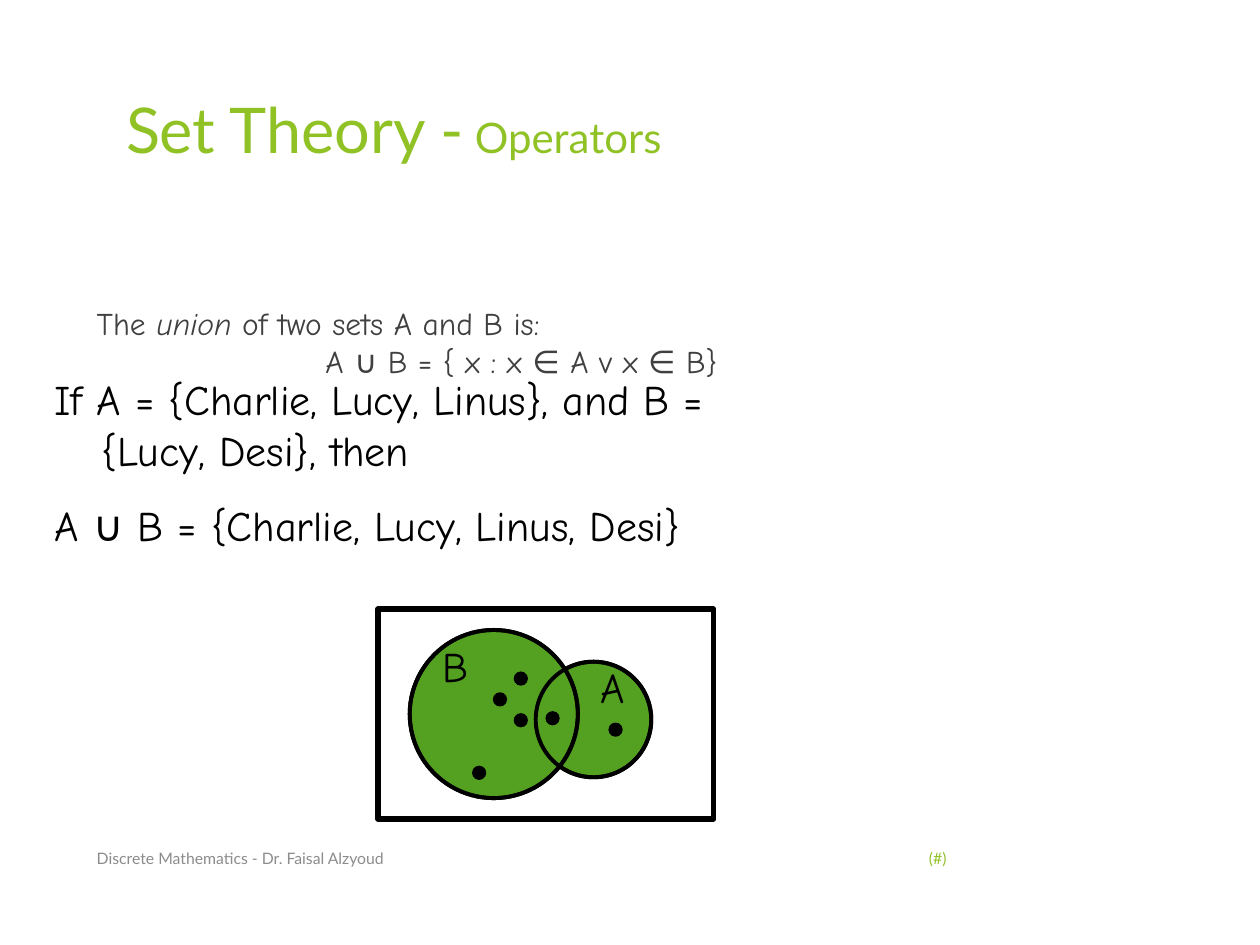
from dataclasses import dataclass

from pptx import Presentation
from pptx.dml.color import RGBColor
from pptx.enum.shapes import MSO_SHAPE
from pptx.enum.text import MSO_ANCHOR, PP_ALIGN
from pptx.util import Cm, Pt

OVAL, RECTANGLE = MSO_SHAPE.OVAL, MSO_SHAPE.RECTANGLE
TOP, MIDDLE = MSO_ANCHOR.TOP, MSO_ANCHOR.MIDDLE
LEFT, CENTER, RIGHT = PP_ALIGN.LEFT, PP_ALIGN.CENTER, PP_ALIGN.RIGHT


@dataclass(frozen=True)
class Theme:
    accent: str = "90C226"
    set_fill: str = "54A021"
    ink: str = "000000"
    body: str = "404040"
    muted: str = "8C8C8C"
    heading_font: str = "Lato"
    text_font: str = "Comic Neue"
    title_size: int = 36
    large_size: int = 24
    body_size: int = 18
    footer_size: int = 9
    hanging: float = 0.95


@dataclass(frozen=True)
class Box:
    left: float
    top: float
    width: float
    height: float

    def lengths(self):
        return Cm(self.left), Cm(self.top), Cm(self.width), Cm(self.height)


@dataclass(frozen=True)
class VennSet:
    name: str
    circle: Box
    label: Box


THEME = Theme()
UNIVERSE = Box(7.62, 12.28, 6.77, 4.23)
SET_A = VennSet("A", Box(10.8, 13.34, 2.33, 2.33), Box(11.85, 13.32, 1.06, 1.27))
SET_B = VennSet("B", Box(8.26, 12.7, 3.39, 3.39), Box(8.68, 12.91, 1.27, 1.48))
DOT_SIZE = 0.26
DOTS = [(9.95, 13.97), (10.37, 14.39), (9.53, 15.45),
        (10.37, 13.55), (12.28, 14.58), (11.01, 14.35)]


def write(paragraph, text: str, *, size: int = THEME.large_size,
          font: str = THEME.text_font, color: str = THEME.ink,
          italic: bool = False, align=LEFT, hanging: float = 0,
          line_spacing: float = 1.0) -> None:
    """Append one formatted run and set the format of its paragraph."""
    paragraph.alignment = align
    paragraph.line_spacing = line_spacing
    paragraph.space_before = Pt(0)
    if hanging:
        properties = paragraph._p.get_or_add_pPr()
        properties.set("marL", str(Cm(hanging)))
        properties.set("indent", str(-Cm(hanging)))
    run = paragraph.add_run()
    run.text = text
    run.font.name = font
    run.font.size = Pt(size)
    run.font.italic = italic
    run.font.color.rgb = RGBColor.from_string(color)


def add_text_box(shapes, box: Box, anchor=TOP):
    text_frame = shapes.add_textbox(*box.lengths()).text_frame
    text_frame.word_wrap = True
    text_frame.vertical_anchor = anchor
    return text_frame


def add_outline(shapes, kind, box: Box, line_width: float, fill: str = "") -> None:
    shape = shapes.add_shape(kind, *box.lengths())
    shape.shadow.inherit = False
    shape.line.color.rgb = RGBColor.from_string(THEME.ink)
    shape.line.width = Pt(line_width)
    if fill:
        shape.fill.solid()
        shape.fill.fore_color.rgb = RGBColor.from_string(fill)
    else:
        shape.fill.background()


def add_title(slide) -> None:
    title = slide.shapes.title
    title.left, title.top, title.width, title.height = Box(1.7, 1.7, 17.63, 3.66).lengths()
    text_frame = title.text_frame
    text_frame.vertical_anchor = TOP
    text_frame.margin_left = Cm(0.84)
    paragraph = text_frame.paragraphs[0]
    heading = {"font": THEME.heading_font, "color": THEME.accent}
    write(paragraph, "Set Theory -", size=THEME.title_size, **heading)
    write(paragraph, " Operators", size=THEME.large_size, **heading)


def add_definition(slide) -> None:
    text_frame = add_text_box(slide.shapes, Box(1.7, 6, 17.63, 10.77))
    style = {"size": THEME.body_size, "color": THEME.body, "hanging": THEME.hanging}
    sentence = text_frame.paragraphs[0]
    write(sentence, "The ", **style)
    write(sentence, "union", italic=True, **style)
    write(sentence, " of two sets A and B is:", **style)
    write(text_frame.add_paragraph(), "A ∪ B = { x : x ∈ A v x ∈ B}",
          align=CENTER, **style)


def add_example(slide) -> None:
    for box, text in [
        (Box(0.85, 7.41, 13.97, 2.33),
         "If A = {Charlie, Lucy, Linus}, and B = {Lucy, Desi}, then"),
        (Box(0.85, 9.95, 16.72, 1.48), "A ∪ B = {Charlie, Lucy, Linus, Desi}"),
    ]:
        text_frame = add_text_box(slide.shapes, box)
        write(text_frame.paragraphs[0], text, hanging=THEME.hanging)


def add_footer(slide) -> None:
    for box, text, color, align in [
        (Box(1.7, 16.79, 12.85, 1.02), "Discrete Mathematics - Dr. Faisal Alzyoud",
         THEME.muted, LEFT),
        (Box(17.91, 16.79, 1.42, 1.02), "(#)", THEME.accent, RIGHT),
    ]:
        text_frame = add_text_box(slide.shapes, box, MIDDLE)
        write(text_frame.paragraphs[0], text, size=THEME.footer_size,
              font=THEME.heading_font, color=color, align=align)


def add_venn_diagram(slide) -> None:
    """Fill both sets first, then outline them again so the overlap shows."""
    shapes = slide.shapes.add_group_shape().shapes
    add_outline(shapes, RECTANGLE, UNIVERSE, 3)
    for fill in (THEME.set_fill, ""):
        for venn_set in (SET_A, SET_B):
            add_outline(shapes, OVAL, venn_set.circle, 2.25, fill)
    for left, top in DOTS:
        add_outline(shapes, OVAL, Box(left, top, DOT_SIZE, DOT_SIZE), 0.75, THEME.ink)
    for venn_set in (SET_A, SET_B):
        text_frame = add_text_box(shapes, venn_set.label)
        write(text_frame.paragraphs[0], venn_set.name,
              hanging=THEME.hanging, line_spacing=0.9)


def main() -> None:
    presentation = Presentation()
    presentation.slide_width, presentation.slide_height = Cm(25.4), Cm(19.05)
    slide = presentation.slides.add_slide(presentation.slide_layouts[5])
    add_title(slide)
    add_definition(slide)
    add_footer(slide)
    add_example(slide)
    add_venn_diagram(slide)
    presentation.save("out.pptx")


if __name__ == "__main__":
    main()
